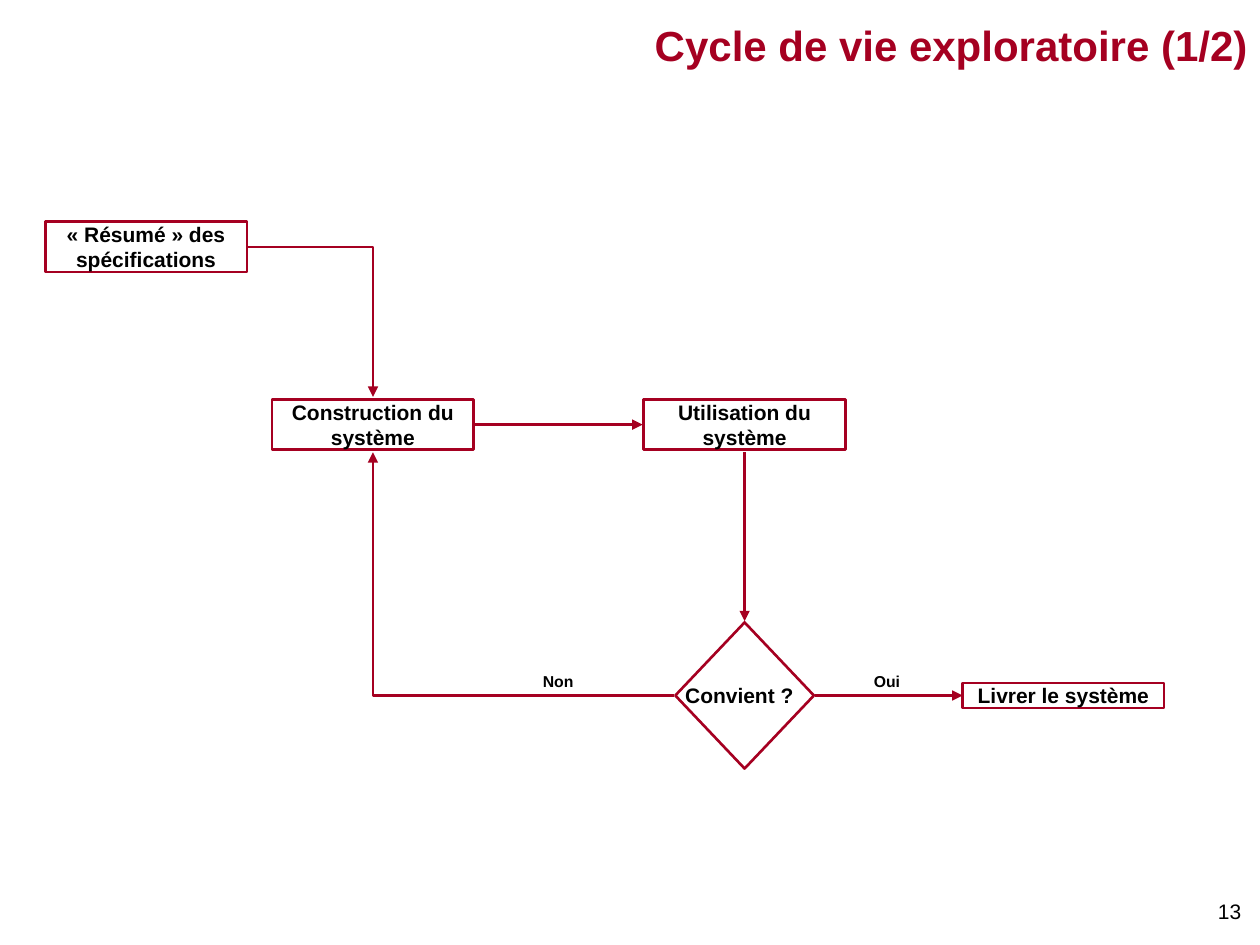
"""Build the exploratory life cycle flowchart slide."""
from lxml import etree
from pptx import Presentation
from pptx.dml.color import RGBColor
from pptx.enum.shapes import MSO_CONNECTOR, MSO_SHAPE
from pptx.enum.text import MSO_ANCHOR, PP_ALIGN
from pptx.oxml.ns import qn
from pptx.util import Inches, Pt

RECTANGLE, DIAMOND = MSO_SHAPE.RECTANGLE, MSO_SHAPE.DIAMOND
STRAIGHT, ELBOW = MSO_CONNECTOR.STRAIGHT, MSO_CONNECTOR.ELBOW
CENTER, RIGHT = PP_ALIGN.CENTER, PP_ALIGN.RIGHT
TOP, MIDDLE = MSO_ANCHOR.TOP, MSO_ANCHOR.MIDDLE

COLORS = {"accent": "A50021", "text": "000000"}
FONT = "Arial"
NO_INSETS = (0, 0, 0, 0)
TEXT_INSETS = (0.1, 0.05, 0.1, 0.05)
DIAMOND_INSETS = (0.1, 0.05, 0.18, 0.05)

TITLE = ("Cycle de vie exploratoire (1/2)", (2.35, 0, 7.65, 0.71))
PAGE_NUMBER = ("13", (8.99, 7.08, 0.96, 0.3))
STEPS = [
    ("« Résumé » des spécifications", (0.36, 1.76, 1.6, 0.4)),
    ("Construction du système", (2.16, 3.17, 1.6, 0.4)),
    ("Utilisation du système", (5.11, 3.17, 1.6, 0.4)),
    ("Livrer le système", (7.64, 5.42, 1.6, 0.2)),
]
DECISION = ("Convient ?", (5.36, 4.94, 1.1, 1.16))
ANSWERS = [("Non", (4.1, 5.33, 0.66, 0.15)), ("Oui", (6.71, 5.33, 0.66, 0.15))]
ARROWS = [
    (ELBOW, (1.97, 1.96), (2.96, 3.15)),
    (STRAIGHT, (3.77, 3.37), (5.1, 3.37)),
    (STRAIGHT, (5.91, 3.59), (5.91, 4.93)),
    (ELBOW, (5.35, 5.52), (2.96, 3.59)),
    (STRAIGHT, (6.47, 5.52), (7.64, 5.52)),
]


def color(name):
    return RGBColor.from_string(COLORS[name])


def write(shape, text, size, bold=True, tint="text", align=CENTER,
          anchor=MIDDLE, insets=NO_INSETS, wrap=True):
    frame = shape.text_frame
    frame.word_wrap = wrap
    frame.vertical_anchor = anchor
    (frame.margin_left, frame.margin_top,
     frame.margin_right, frame.margin_bottom) = map(Inches, insets)
    para = frame.paragraphs[0]
    para.text = text
    para.alignment = align
    para.font.name = FONT
    para.font.size = Pt(size)
    para.font.bold = bold
    para.font.color.rgb = color(tint)


def outline(line):
    line.color.rgb = color("accent")
    line.width = Pt(1.5)


def add_text(page, text, place, size, **style):
    write(page.shapes.add_textbox(*map(Inches, place)), text, size, **style)


def add_node(page, kind, text, place, **style):
    node = page.shapes.add_shape(kind, *map(Inches, place))
    node.shadow.inherit = False
    node.fill.background()
    outline(node.line)
    write(node, text, 12, **style)


def add_arrow(page, kind, start, end):
    arrow = page.shapes.add_connector(kind, *map(Inches, start + end))
    outline(arrow.line)
    properties = arrow._element.spPr
    if kind == ELBOW:
        properties.find(qn("a:prstGeom")).set("prst", "bentConnector2")
    line = properties.find(qn("a:ln"))
    etree.SubElement(line, qn("a:tailEnd"), type="triangle")
    etree.SubElement(properties, qn("a:effectLst"))


def main():
    deck = Presentation()
    deck.slide_width, deck.slide_height = Inches(10), Inches(7.5)
    page = deck.slides.add_slide(deck.slide_layouts[6])
    add_text(page, *PAGE_NUMBER, 12, bold=False, align=RIGHT, anchor=TOP,
             insets=TEXT_INSETS)
    add_text(page, *TITLE, 24, tint="accent", align=RIGHT, insets=TEXT_INSETS)
    for text, place in STEPS:
        add_node(page, RECTANGLE, text, place)
    add_node(page, DIAMOND, *DECISION, insets=DIAMOND_INSETS, wrap=False)
    for text, place in ANSWERS:
        add_text(page, text, place, 9)
    for kind, start, end in ARROWS:
        add_arrow(page, kind, start, end)
    deck.save("out.pptx")


if __name__ == "__main__":
    main()
